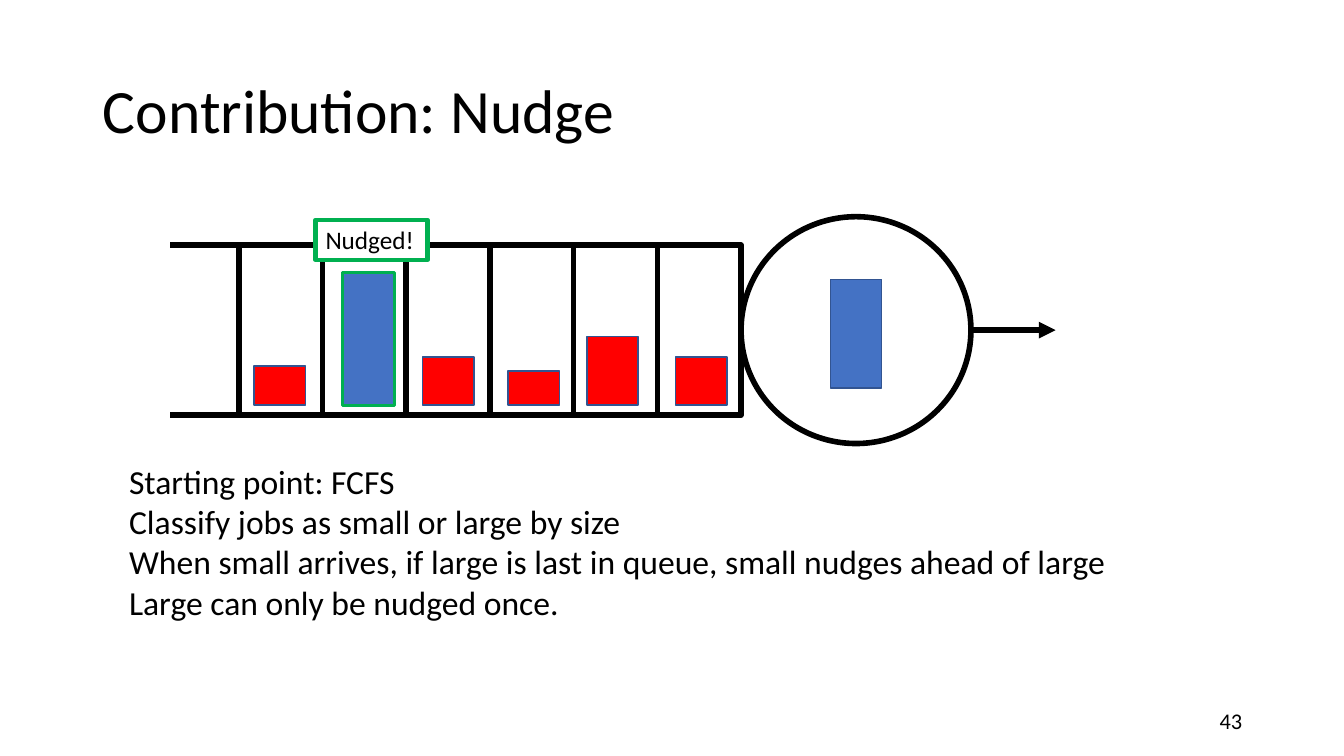
"""Build the slide that explains the Nudge scheduling policy with a queue diagram."""
from lxml import etree
from pptx import Presentation
from pptx import util as u
from pptx.dml.color import RGBColor
from pptx.enum import shapes, text
from pptx.oxml import ns

TITLE = "Contribution: Nudge"
POINTS = [
    "Starting point: FCFS",
    "Classify jobs as small or large by size",
    "When small arrives, if large is last in queue, small nudges ahead of large",
    "Large can only be nudged once.",
]
TAG = "Nudged!"
PAGE_NUMBER = "43"
COLORS = {"ink": "000000", "paper": "FFFFFF", "small": "FF0000",
          "large": "4472C4", "edge": "325491", "nudged": "00B050"}
FONT = "Calibri"

# Each waiting job: offset in its slot, height, fill, outline, outline width
JOBS = [
    (0.15, 0.39, "small", "edge", 1),
    (0.20, 1.32, "large", "nudged", 2),
    (0.16, 0.48, "small", "edge", 1),
    (0.18, 0.34, "small", "edge", 1),
    (0.13, 0.68, "small", "edge", 1),
    (0.18, 0.48, "small", "edge", 1),
]
QUEUE_LEFT, SLOTS_LEFT, QUEUE_TOP = 1.69, 2.37, 2.43
SLOT_WIDTH, SLOT_HEIGHT = 0.83, 1.69
JOB_WIDTH, JOB_BASE = 0.51, 4.02
SERVER_WIDTH, SERVER_HEIGHT, SERVED_HEIGHT = 2.28, 2.25, 1.08
ARROW_LENGTH = 0.84


def color(name):
    return RGBColor.from_string(COLORS[name])


def add_box(page, place, fill, line, width, kind=shapes.MSO_SHAPE.RECTANGLE):
    box = page.shapes.add_shape(kind, *map(u.Inches, place))
    box.shadow.inherit = False
    box.fill.solid()
    box.fill.fore_color.rgb = color(fill)
    box.line.color.rgb = color(line)
    box.line.width = u.Pt(width)
    return box


def add_line(page, left, right, height, arrow=False):
    line = page.shapes.add_connector(
        shapes.MSO_CONNECTOR.STRAIGHT,
        *map(u.Inches, (left, height, right, height)))
    line.line.color.rgb = color("ink")
    line.line.width = u.Pt(4)
    if arrow:
        etree.SubElement(line.line._get_or_add_ln(), ns.qn("a:tailEnd"), type="triangle")
    etree.SubElement(line._element.spPr, ns.qn("a:effectLst"))


def write(box, lines, size, align=text.PP_ALIGN.LEFT,
          anchor=text.MSO_ANCHOR.TOP, spacing=1.0, plain=False):
    frame = box.text_frame
    frame.word_wrap = True
    frame.auto_size = text.MSO_AUTO_SIZE.NONE
    frame.vertical_anchor = anchor
    frame.text = "\n".join(lines)
    for para in frame.paragraphs:
        para.alignment = align
        para.line_spacing = spacing
        para.space_before = u.Pt(0)
        if plain:
            props = para._p.get_or_add_pPr()
            props.set("marL", "0")
            props.set("indent", "0")
            etree.SubElement(props, ns.qn("a:buNone"))
        para.font.size = u.Pt(size)
        para.font.name = FONT
        para.font.color.rgb = color("ink")


def move(box, left, top, width, height):
    box.left, box.top, box.width, box.height = map(u.Inches, (left, top, width, height))


def draw_queue(page):
    server_left = SLOTS_LEFT + len(JOBS) * SLOT_WIDTH
    for height in (QUEUE_TOP, QUEUE_TOP + SLOT_HEIGHT):
        add_line(page, QUEUE_LEFT, server_left, height)
    for index, (offset, height, fill, line, width) in enumerate(JOBS):
        left = SLOTS_LEFT + index * SLOT_WIDTH
        add_box(page, (left, QUEUE_TOP, SLOT_WIDTH, SLOT_HEIGHT), "paper", "ink", 4)
        add_box(page, (left + offset, JOB_BASE - height, JOB_WIDTH, height),
                fill, line, width)
    return server_left


def draw_server(page, left):
    middle = QUEUE_TOP + SLOT_HEIGHT / 2
    add_box(page, (left, middle - SERVER_HEIGHT / 2, SERVER_WIDTH, SERVER_HEIGHT),
            "paper", "ink", 4, shapes.MSO_SHAPE.OVAL)
    add_box(page, (left + (SERVER_WIDTH - JOB_WIDTH) / 2, 2.77, JOB_WIDTH, SERVED_HEIGHT),
            "large", "edge", 1)
    right = left + SERVER_WIDTH
    add_line(page, right, right + ARROW_LENGTH, middle, arrow=True)


def main():
    deck = Presentation()
    deck.slide_width, deck.slide_height = u.Inches(13.33), u.Inches(7.5)
    page = deck.slides.add_slide(deck.slide_layouts[1])
    title, body = page.placeholders

    move(title, 0.92, 0.4, 11.5, 1.45)
    write(title, [TITLE], 44, anchor=text.MSO_ANCHOR.MIDDLE, spacing=0.9)
    move(body, 1.18, 4.52, 10.36, 1.72)
    write(body, POINTS, 24, plain=True)

    draw_server(page, draw_queue(page))
    tag = add_box(page, (3.13, 2.18, 1.11, 0.4), "paper", "nudged", 3)
    write(tag, [TAG], 18)

    number = page.shapes.add_textbox(*map(u.Inches, (9.42, 6.95, 3, 0.4)))
    write(number, [PAGE_NUMBER], 16, text.PP_ALIGN.RIGHT, text.MSO_ANCHOR.MIDDLE)
    deck.save("out.pptx")


if __name__ == "__main__":
    main()
